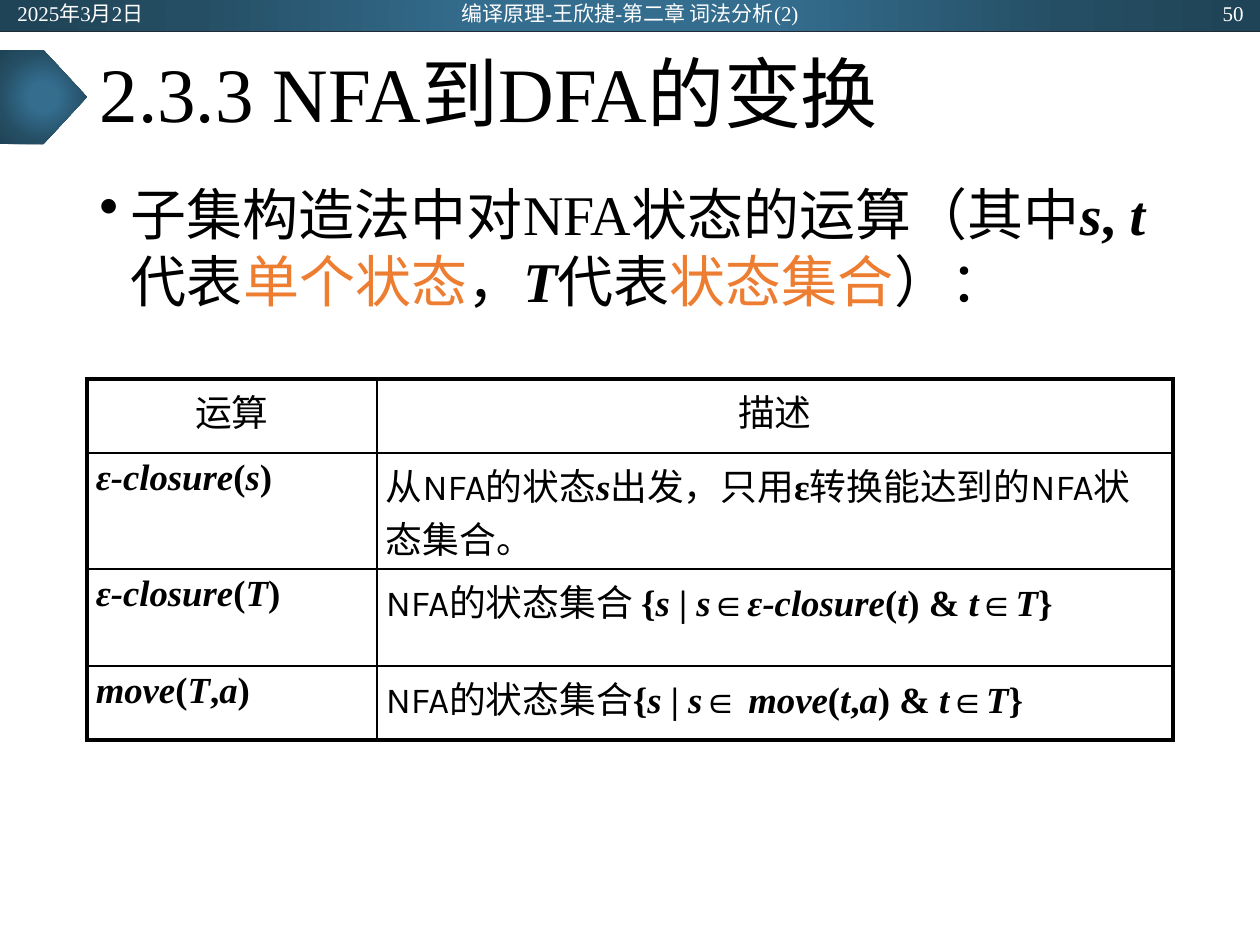
from lxml import etree
from pptx import Presentation
from pptx import util as u
from pptx.dml.color import RGBColor
from pptx.enum import shapes, text
from pptx.oxml import ns, parse_xml

PX = u.Inches(1) / 126
TIMES, KARLA = "Times New Roman", "Karla"
BLACK = RGBColor(0x00, 0x00, 0x00)
WHITE = RGBColor(0xFF, 0xFF, 0xFF)
ORANGE = RGBColor(0xED, 0x7D, 0x31)
RULE = RGBColor(0x22, 0x2A, 0x35)
LIGHT_TEAL = RGBColor(0x34, 0x6D, 0x8E)
TEAL = RGBColor(0x25, 0x4E, 0x64)
DARK_TEAL = RGBColor(0x20, 0x44, 0x57)
GLOW = [(0, LIGHT_TEAL), (23, LIGHT_TEAL), (69, TEAL), (97, DARK_TEAL)]

# A run is (text, style): b bold, i italic, o orange, k Karla.
INTRO = [("子集构造法中对NFA状态的运算（其中", ""), ("s", "bi"), (",", "b"), (" t", "bi"),
         ("代表", ""), ("单个状态", "o"), ("，", ""), ("T", "bi"), ("代表", ""),
         ("状态集合", "o"), ("）：", "")]
MEMBER_OF_T = [(") & ", "b"), ("t", "bi"), ("∈", "b"), ("T", "bi"), ("}", "b")]
SET_OF_S = [("{", "b"), ("s ", "bi"), ("| ", "b"), ("s", "bi")]
OPERATIONS = [
    [[("运算", "k")], [("描述", "k")]],
    [[("ε-closure", "bi"), ("(", "b"), ("s", "bi"), (")", "b")],
     [("从NFA的状态", "k"), ("s", "bi"), ("出发，只用", "k"), ("ε", "b"),
      ("转换能达到的NFA状态集合。", "k")]],
    [[("ε-closure", "bi"), ("(", "b"), ("T", "bi"), (")", "b")],
     [("NFA的状态集合 ", "k"), *SET_OF_S, ("∈", "b"), ("ε-closure", "bi"), ("(", "b"),
      ("t", "bi"), *MEMBER_OF_T]],
    [[("move", "bi"), ("(", "b"), ("T", "bi"), (",", "b"), ("a", "bi"), (")", "b")],
     [("NFA的状态集合", "k"), *SET_OF_S, ("∈ ", "b"), ("move", "bi"), ("(", "b"),
      ("t", "bi"), (",", "b"), ("a", "bi"), *MEMBER_OF_T]],
]


def px(*lengths):
    return [u.Emu(round(n * PX)) for n in lengths]


def add_runs(paragraph, runs, size, color=BLACK):
    for words, style in runs:
        run = paragraph.add_run()
        run.text = words
        font = run.font
        font.name = KARLA if "k" in style else TIMES
        font.size = u.Pt(size)
        font.bold = "b" in style
        font.italic = "i" in style
        font.color.rgb = ORANGE if "o" in style else color


def add_text(slide, box, runs, size, color=BLACK, align=text.PP_ALIGN.LEFT,
             anchor=text.MSO_ANCHOR.TOP):
    frame = slide.shapes.add_textbox(*px(*box)).text_frame
    frame.word_wrap = True
    frame.vertical_anchor = anchor
    paragraph = frame.paragraphs[0]
    paragraph.alignment = align
    add_runs(paragraph, runs, size, color)
    return paragraph


def add_glowing_shape(slide, preset, box):
    """Add a preset shape filled with the radial teal gradient."""
    shape = slide.shapes.add_shape(preset, *px(*box))
    shape.shadow.inherit = False
    shape.line.fill.background()
    stops = "".join(f'<a:gs pos="{pos * 1000}"><a:srgbClr val="{color}"/></a:gs>'
                    for pos, color in GLOW)
    gradient = parse_xml(
        f'<a:gradFill {ns.nsdecls("a")} rotWithShape="1"><a:gsLst>{stops}</a:gsLst>'
        '<a:path path="circle"><a:fillToRect l="50000" t="50000" r="50000" b="50000"/>'
        '</a:path></a:gradFill>')
    shape._element.spPr.find(ns.qn("a:prstGeom")).addnext(gradient)


def add_header(slide):
    add_glowing_shape(slide, shapes.MSO_SHAPE.RECTANGLE, (0, 0, 1260, 31))
    rule = slide.shapes.add_connector(shapes.MSO_CONNECTOR.STRAIGHT, *px(0, 31, 1260, 31))
    rule.line.color.rgb = RULE
    rule.line.width = u.Pt(0.5)
    etree.SubElement(rule._element.spPr, ns.qn("a:effectLst"))
    for left, width, words, align in [
            (5, 284, "2025年3月2日", text.PP_ALIGN.LEFT),
            (417, 426, "编译原理-王欣捷-第二章 词法分析(2)", text.PP_ALIGN.CENTER),
            (972, 284, "50", text.PP_ALIGN.RIGHT)]:
        add_text(slide, (left, 1, width, 25), [(words, "")], 12, WHITE, align,
                 text.MSO_ANCHOR.MIDDLE)


def set_title(slide):
    title = slide.shapes.title
    title.left, title.top, title.width, title.height = px(87, 32, 1086, 131)
    frame = title.text_frame
    frame.word_wrap = True
    frame.vertical_anchor = text.MSO_ANCHOR.MIDDLE
    heading = frame.paragraphs[0]
    heading.alignment = text.PP_ALIGN.LEFT
    heading.line_spacing = 0.9
    add_runs(heading, [("2.3.3 NFA到DFA的变换", "")], 44)


def add_bullet(paragraph):
    properties = paragraph._p.get_or_add_pPr()
    indent = u.Inches(0.25)
    properties.set("marL", str(indent))
    properties.set("indent", str(-indent))
    etree.SubElement(properties, ns.qn("a:buChar"), char="•")


def set_borders(cell, widths):
    """Draw the left, right, top and bottom borders with widths in points."""
    properties = cell._tc.get_or_add_tcPr()
    for index, (side, width) in enumerate(zip("LRTB", widths)):
        properties.insert(index, parse_xml(
            f'<a:ln{side} {ns.nsdecls("a")} w="{u.Pt(width)}"><a:solidFill>'
            f'<a:srgbClr val="{BLACK}"/></a:solidFill></a:ln{side}>'))


def add_operations_table(slide):
    columns, rows = (290, 796), (74, 116, 97, 74)
    table = slide.shapes.add_table(
        len(rows), len(columns), *px(87, 379, sum(columns), sum(rows))).table
    table.first_row = table.horz_banding = False
    for column, width in zip(table.columns, px(*columns)):
        column.width = width
    for row, height in zip(table.rows, px(*rows)):
        row.height = height
    last_row, last_column = len(rows) - 1, len(columns) - 1
    for r, operation in enumerate(OPERATIONS):
        for c, runs in enumerate(operation):
            cell = table.cell(r, c)
            cell.fill.background()
            cell.margin_left = cell.margin_right = u.Inches(0.07)
            cell.margin_top = cell.margin_bottom = u.Inches(0.04)
            paragraph = cell.text_frame.paragraphs[0]
            paragraph.alignment = text.PP_ALIGN.LEFT if r else text.PP_ALIGN.CENTER
            add_runs(paragraph, runs, 21)
            outer = (c == 0, c == last_column, r == 0, r == last_row)
            set_borders(cell, [2.25 if edge else 1 for edge in outer])


def main():
    deck = Presentation()
    deck.slide_width, deck.slide_height = px(1260, 945)
    slide = deck.slides.add_slide(deck.slide_layouts[5])
    add_header(slide)
    add_glowing_shape(slide, shapes.MSO_SHAPE.PENTAGON, (0, 50, 87, 94))
    set_title(slide)
    intro = add_text(slide, (87, 173, 1086, 678), INTRO, 32)
    add_bullet(intro)
    add_operations_table(slide)
    deck.save("out.pptx")


if __name__ == "__main__":
    main()
